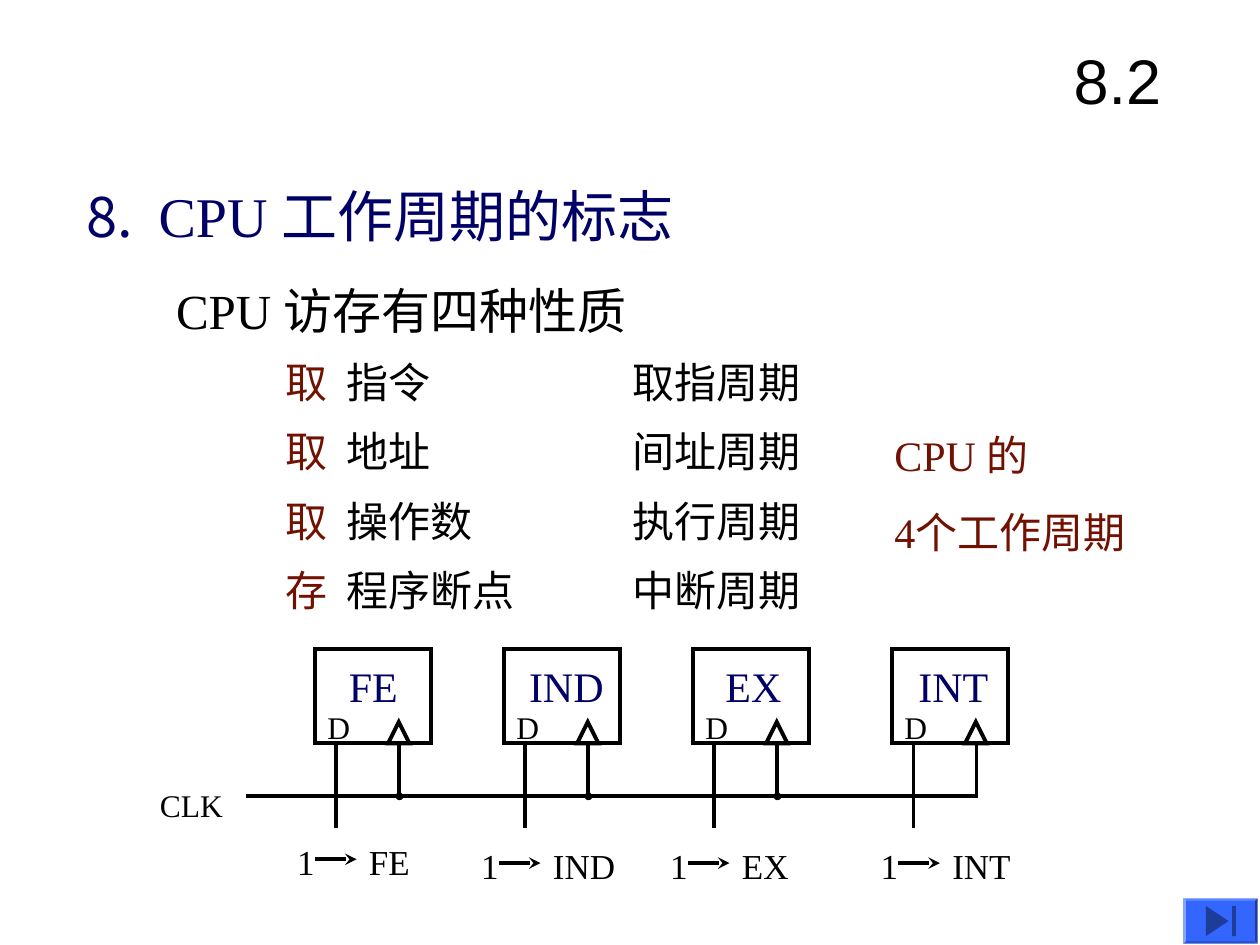
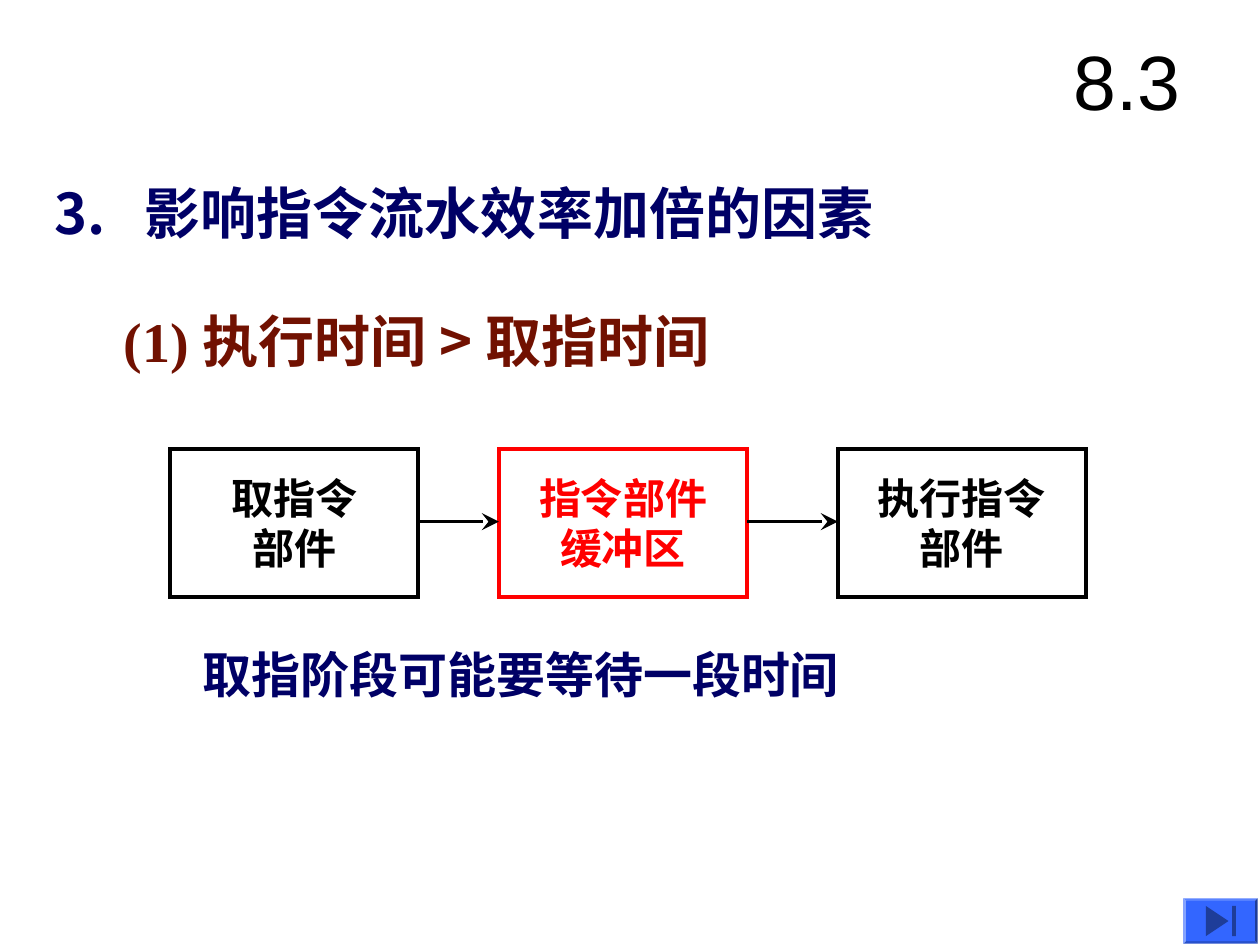
from dataclasses import dataclass
from itertools import pairwise

from lxml import etree
from pptx import Presentation
from pptx.dml.color import RGBColor
from pptx.enum.shapes import MSO_CONNECTOR, MSO_SHAPE
from pptx.enum.text import MSO_ANCHOR, MSO_AUTO_SIZE, PP_ALIGN
from pptx.oxml.ns import qn
from pptx.util import Inches, Pt

RECT, TRI = MSO_SHAPE.RECTANGLE, MSO_SHAPE.ISOSCELES_TRIANGLE
BUTTON, BEVEL = MSO_SHAPE.ACTION_BUTTON_END, MSO_SHAPE.BEVEL
LINE = MSO_CONNECTOR.STRAIGHT
LEFT, MID = PP_ALIGN.LEFT, PP_ALIGN.CENTER
TOP, CENTER = MSO_ANCHOR.TOP, MSO_ANCHOR.MIDDLE
FIXED = MSO_AUTO_SIZE.NONE

BLACK, NAVY, BROWN = "000000", "000066", "711101"
RED, BLUE = "FF0000", "3366FF"
SERIF, SANS, PLAIN = "Times New Roman", "Noto Sans CJK SC", "Arial"


@dataclass
class Run:
    text: str
    color: str | None = None
    face: str | None = None


@dataclass
class Flop:
    """A flip-flop: name, box left, name left, and the place of its input."""
    name: str
    left: float
    label: float
    input_x: float
    input_y: float = 6.65


@dataclass
class Unit:
    left: float
    color: str
    lines: list[str]


# Shared helpers
def rgb(code: str) -> RGBColor:
    return RGBColor.from_string(code)


def write(shape, paras: list, *, size: float, color: str = BLACK,
          face: str = SERIF, bold: bool = False, align=LEFT, anchor=TOP,
          side: float = 0.1, tab: float = 0, before: float = 0) -> None:
    """Fill a shape; each paragraph is a string or a list of runs."""
    frame = shape.text_frame
    frame.word_wrap, frame.auto_size = True, FIXED
    frame.vertical_anchor = anchor
    frame.margin_left = frame.margin_right = Inches(side)
    frame.margin_top = frame.margin_bottom = Inches(0.05)
    for i, item in enumerate(paras):
        para = frame.add_paragraph() if i else frame.paragraphs[0]
        para.alignment = align
        if i and before:
            para.space_before = Pt(before)
        if tab:
            stops = etree.SubElement(para._p.get_or_add_pPr(), qn("a:tabLst"))
            etree.SubElement(stops, qn("a:tab"), pos=str(Inches(tab)), algn="l")
        for part in [Run(item)] if isinstance(item, str) else item:
            run = para.add_run()
            run.text = part.text
            font = run.font
            font.size, font.bold = Pt(size), bold
            font.name = part.face or face
            font.color.rgb = rgb(part.color or color)
            east = etree.SubElement(run._r.get_or_add_rPr(), qn("a:ea"))
            east.set("typeface", SANS)


def text(slide, x: float, y: float, w: float, h: float, paras: list,
         **style) -> None:
    box = slide.shapes.add_textbox(Inches(x), Inches(y), Inches(w), Inches(h))
    write(box, paras, **style)


def label(slide, x: float, y: float, word: str, size: float,
          color: str = BLACK) -> None:
    """One-line label with room for its widest letters."""
    text(slide, x, y, 0.25 + len(word) * size / 90, size / 60 + 0.1, [word],
         size=size, color=color)


def shape(slide, kind, x: float, y: float, w: float, h: float,
          line: str | None = BLACK, fill: str | None = None):
    form = slide.shapes.add_shape(kind, Inches(x), Inches(y), Inches(w), Inches(h))
    form.shadow.inherit = False
    if fill:
        form.fill.solid()
        form.fill.fore_color.rgb = rgb(fill)
    else:
        form.fill.background()
    if line:
        form.line.color.rgb = rgb(line)
        form.line.width = Pt(2.25)
        etree.SubElement(form.line._get_or_add_ln(), qn("a:miter"), lim="800000")
    else:
        form.line.fill.background()
    return form


def wire(slide, x1: float, y1: float, x2: float, y2: float,
         tail: str | None = None, width: float = 2.25, head: str = "med") -> None:
    link = slide.shapes.add_connector(
        LINE, Inches(x1), Inches(y1), Inches(x2), Inches(y2))
    link.line.color.rgb = rgb(BLACK)
    link.line.width = Pt(width)
    if tail:
        etree.SubElement(link.line._get_or_add_ln(), qn("a:tailEnd"),
                         type=tail, w=head, len=head)
    etree.SubElement(link._element.spPr, qn("a:effectLst"))


def start(deck, number: str, size: float):
    """New slide with its section number and the next button."""
    slide = deck.slides.add_slide(deck.slide_layouts[5])
    title = slide.shapes.title
    title.left, title.top = Inches(8.42), Inches(0.17)
    title.width, title.height = Inches(1.25), Inches(0.92)
    write(title, [number], size=size, face=PLAIN, anchor=CENTER)
    edge = shape(slide, BEVEL, 9.39, 7.13, 0.59, 0.36, line=None, fill=BLUE)
    edge.adjustments[0] = 0.06
    shape(slide, BUTTON, 9.42, 7.15, 0.54, 0.32, line=None, fill=BLUE)
    return slide


# Slide 8.2: work cycles
ACCESS = [("取", "指令", "取指周期"), ("取", "地址", "间址周期"),
          ("取", "操作数", "执行周期"), ("存", "程序断点", "中断周期")]
FLOPS = [Flop("FE", 2.5, 2.67, 2.26, 6.62), Flop("IND", 4, 4.1, 3.72),
         Flop("EX", 5.5, 5.66, 5.22), Flop("INT", 7.08, 7.19, 6.89)]
BASE, CLOCK = 5.9, 6.32


def draw_flop(slide, flop: Flop, dot: bool) -> None:
    x = flop.left
    label(slide, flop.label, 5.19, flop.name, 24, NAVY)
    shape(slide, RECT, x, 5.15, 0.92, 0.75)
    label(slide, x, 5.57, "D", 18)
    shape(slide, TRI, x + 0.58, 5.73, 0.17, 0.17)
    wire(slide, x + 0.17, BASE, x + 0.17, 6.57)
    wire(slide, x + 0.67, BASE, x + 0.67, CLOCK, "oval" if dot else None,
         head="sm")
    # Input: 1 -> name
    x, y = flop.input_x, flop.input_y
    wire(slide, x + 0.24, y + 0.2, x + 0.57, y + 0.2, "stealth")
    label(slide, x, y, "1", 20)
    label(slide, x + 0.57, y, flop.name, 20)


def draw_cycles(deck) -> None:
    slide = start(deck, "8.2", 36)
    text(slide, 0.59, 1.39, 6.25, 0.64,
         [[Run("8.\t", face=SANS), Run("CPU "), Run("工作周期的标志", face=SANS)]],
         size=32, color=NAVY, tab=0.57)
    text(slide, 1.3, 2.18, 5.83, 0.57, ["CPU 访存有四种性质"], size=28)
    for i, (verb, item, cycle) in enumerate(ACCESS):
        y = 2.78 + 0.55 * i
        text(slide, 2.17, y, 2.42, 0.5, [[Run(verb, BROWN), Run("\t" + item)]],
             size=24, tab=0.48)
        text(slide, 4.92, y, 2.42, 0.5, [cycle], size=24)
    text(slide, 7, 3.36, 2.9, 1.11, ["CPU 的", "4个工作周期"],
         size=24, color=BROWN, before=15)
    # Flip-flops on one clock line
    label(slide, 1.17, 6.19, "CLK", 18)
    wire(slide, 1.95, CLOCK, 7.76, CLOCK)
    for flop in FLOPS:
        draw_flop(slide, flop, dot=flop is not FLOPS[-1])


# Slide 8.3: pipeline factors
UNITS = [Unit(1.35, BLACK, ["取指令", "部件"]),
         Unit(3.96, RED, ["指令部件", "缓冲区"]),
         Unit(6.65, BLACK, ["执行指令", "部件"])]
WIDE = 1.97


def draw_factors(deck) -> None:
    slide = start(deck, "8.3", 44)
    style = dict(face=SANS, bold=True, anchor=CENTER, side=0)
    text(slide, 0.43, 1.39, 7.95, 0.58, ["3.\t影响指令流水效率加倍的因素"],
         size=32, color=NAVY, tab=0.72, **style)
    text(slide, 0.98, 2.41, 6.38, 0.58,
         [[Run("(1) ", face=SERIF), Run("执行时间 > 取指时间")]],
         size=32, color=BROWN, **style)
    # Units joined by arrows
    for unit in UNITS:
        box = shape(slide, RECT, unit.left, 3.56, WIDE, 1.18, unit.color)
        write(box, unit.lines, size=24, color=unit.color, align=MID, **style)
    for one, two in pairwise(UNITS):
        wire(slide, one.left + WIDE, 4.14, two.left, 4.14, "stealth", 1.5, "lg")
    text(slide, 1.61, 5.06, 6.46, 0.58, ["取指阶段可能要等待一段时间"],
         size=28, color=NAVY, **style)


def main() -> None:
    deck = Presentation()
    deck.slide_width, deck.slide_height = Inches(10), Inches(7.5)
    draw_cycles(deck)
    draw_factors(deck)
    deck.save("out.pptx")


if __name__ == "__main__":
    main()
